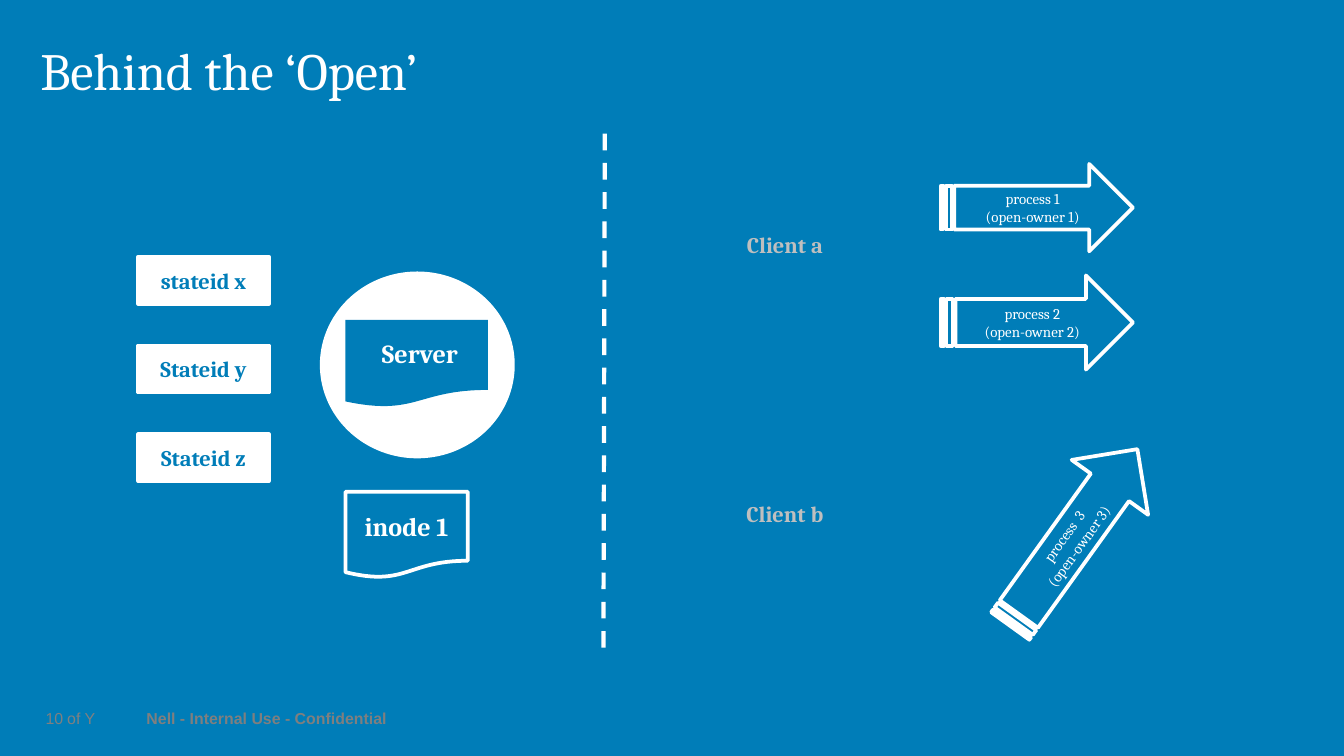
from lxml import etree
from pptx import Presentation
from pptx.dml.color import RGBColor
from pptx.enum.dml import MSO_LINE
from pptx.enum.shapes import MSO_CONNECTOR, MSO_SHAPE
from pptx.enum.text import MSO_ANCHOR, MSO_AUTO_SIZE, PP_ALIGN
from pptx.oxml.ns import qn
from pptx.util import Inches, Pt

BLUE = RGBColor(0x00, 0x7D, 0xB8)
WHITE = RGBColor(0xFF, 0xFF, 0xFF)
SILVER = RGBColor(0xBF, 0xBF, 0xBF)
GRAY = RGBColor(0x80, 0x80, 0x80)
FOOTER_GRAY = RGBColor(0x7F, 0x7F, 0x7F)

RECTANGLE = MSO_SHAPE.RECTANGLE
ELLIPSE = MSO_SHAPE.OVAL
DOCUMENT = MSO_SHAPE.FLOWCHART_DOCUMENT
ARROW = MSO_SHAPE.STRIPED_RIGHT_ARROW
STRAIGHT = MSO_CONNECTOR.STRAIGHT
DASH = MSO_LINE.DASH
GROW = MSO_AUTO_SIZE.SHAPE_TO_FIT_TEXT
TOP, MIDDLE = MSO_ANCHOR.TOP, MSO_ANCHOR.MIDDLE
LEFT, CENTER, RIGHT = PP_ALIGN.LEFT, PP_ALIGN.CENTER, PP_ALIGN.RIGHT


def write_text(shape, lines, color, size, bold=False, name="Cambria", align=CENTER,
               anchor=MIDDLE, insets=(0.1, 0.05, 0.1, 0.05), spacing=1.0, wrap=True):
    """Fill a shape with paragraphs that share one format."""
    frame = shape.text_frame
    frame.word_wrap = wrap
    frame.vertical_anchor = anchor
    for side, inset in zip(("left", "top", "right", "bottom"), insets):
        setattr(frame, f"margin_{side}", Inches(inset))
    font_format = {"name": name, "size": Pt(size), "bold": bold}
    for index, line in enumerate(lines):
        para = frame.add_paragraph() if index else frame.paragraphs[0]
        para.alignment = align
        para.line_spacing = spacing
        span = para.add_run()
        span.text = line
        for key, value in font_format.items():
            setattr(span.font, key, value)
        span.font.color.rgb = color


def add_label(page, box, text, color, size, **text_format):
    """Add a text box holding one line."""
    label = page.shapes.add_textbox(*map(Inches, box))
    write_text(label, [text], color, size, **text_format)
    return label


def add_figure(page, kind, box, fill=None, outline=None):
    """Add a preset shape with an optional fill and outline."""
    figure = page.shapes.add_shape(kind, *map(Inches, box))
    figure.shadow.inherit = False
    if fill is None:
        figure.fill.background()
    else:
        figure.fill.solid()
        figure.fill.fore_color.rgb = fill
    if outline is None:
        figure.line.fill.background()
    else:
        figure.line.color.rgb = outline
        figure.line.width = Pt(2)
    return figure


def add_footer(page, left, top):
    """Place the page number and the confidentiality notice."""
    footer_format = {"name": "Arial", "anchor": MIDDLE, "insets": (0, 0, 0, 0),
                     "spacing": 0.9, "wrap": False}
    parts = [
        (0, 0.15, "10", GRAY, False, RIGHT),
        (0.18, 0.21, "of Y", GRAY, False, LEFT),
        (0.77, 1.8, "Nell - Internal Use - Confidential", FOOTER_GRAY, True, LEFT),
    ]
    for offset, width, text, color, bold, align in parts:
        label = add_label(page, (left + offset, top, width, 0.13), text, color, 8.5,
                          bold=bold, align=align, **footer_format)
        label.text_frame.auto_size = GROW


def add_state_ids(page, left, top):
    """Stack the state identifiers at equal steps."""
    for row, text in enumerate(("stateid x", "Stateid y", "Stateid z")):
        card = add_figure(page, RECTANGLE, (left, top + row * 0.66, 0.97, 0.35),
                          WHITE, WHITE)
        write_text(card, [text], BLUE, 12, bold=True)


def add_server(page, left, top):
    """Draw the server disc and the inode document below it."""
    add_figure(page, ELLIPSE, (left, top, 1.45, 1.39), WHITE)
    server = add_figure(page, DOCUMENT, (left + 0.19, top + 0.36, 1.06, 0.65), BLUE)
    write_text(server, ["Server"], WHITE, 14, bold=True, spacing=0.9,
               insets=(0.2, 0.15, 0.15, 0.15))
    inode = add_figure(page, DOCUMENT, (left + 0.19, top + 1.64, 0.91, 0.64),
                       BLUE, WHITE)
    write_text(inode, ["inode 1"], WHITE, 14, bold=True)


def add_divider(page, start, end):
    """Draw the dashed line between server and clients."""
    divider = page.shapes.add_connector(STRAIGHT, *map(Inches, start + end))
    divider.line.color.rgb = WHITE
    divider.line.width = Pt(2.25)
    divider.line.dash_style = DASH
    etree.SubElement(divider._element.spPr, qn("a:effectLst"))


def add_clients(page, left, top):
    """Place the client names and their process arrows."""
    for text, offset in (("Client a", 0.45), ("Client b", 2.45)):
        label = add_label(page, (left, top + offset, 0.9, 0.3), text, SILVER, 12,
                          bold=True, anchor=TOP)
        label.text_frame.auto_size = GROW
    arrows = [
        ((1.61, 0, 1.43, 0.65), 0, "process 1", "(open-owner 1)"),
        ((1.61, 0.83, 1.43, 0.7), 0, "process 2", "(open-owner 2)"),
        ((1.79, 2.43, 1.62, 0.7), 305.7, "process  3", "(open-owner 3)"),
    ]
    for (across, down, width, height), angle, *lines in arrows:
        arrow = add_figure(page, ARROW, (left + across, top + down, width, height),
                           outline=WHITE)
        arrow.rotation = angle
        write_text(arrow, lines, WHITE, 8)


def main():
    """Build the slide and save the deck."""
    deck = Presentation()
    deck.slide_width = Inches(10)
    deck.slide_height = deck.slide_width * 9 // 16
    page = deck.slides.add_slide(deck.slide_layouts[6])
    page.background.fill.solid()
    page.background.fill.fore_color.rgb = BLUE
    add_footer(page, 0.32, 5.29)
    add_label(page, (0.3, 0.29, 8.7, 0.7), "Behind the ‘Open’", WHITE, 28, align=LEFT,
              anchor=TOP, insets=(0, 0.05, 0, 0.05), spacing=0.9)
    add_server(page, 2.38, 2.02)
    add_state_ids(page, 1.03, 1.91)
    add_divider(page, (4.49, 4.82), (4.5, 0.99))
    add_clients(page, 5.39, 1.22)
    deck.save("out.pptx")


if __name__ == "__main__":
    main()
